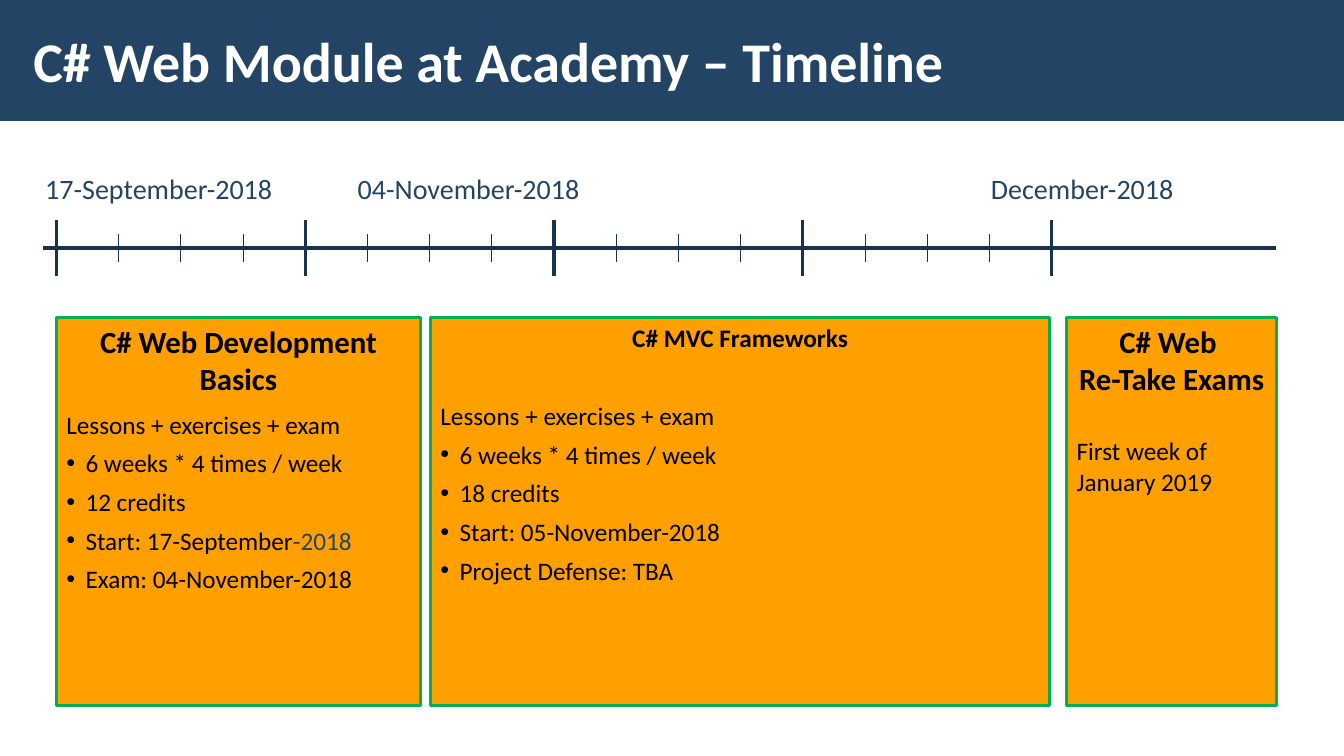
from lxml import etree
from pptx import Presentation
from pptx.dml.color import RGBColor
from pptx.enum.shapes import MSO_CONNECTOR, MSO_SHAPE
from pptx.enum.text import MSO_ANCHOR, MSO_AUTO_SIZE, PP_ALIGN
from pptx.oxml.ns import qn
from pptx.util import Inches, Pt

RECTANGLE = MSO_SHAPE.RECTANGLE
STRAIGHT = MSO_CONNECTOR.STRAIGHT
TOP, MIDDLE = MSO_ANCHOR.TOP, MSO_ANCHOR.MIDDLE
LEFT, CENTER = PP_ALIGN.LEFT, PP_ALIGN.CENTER
GROW = MSO_AUTO_SIZE.SHAPE_TO_FIT_TEXT

FONT = "Calibri"
COLORS = {
    "navy": "234465",
    "axis": "1A334C",
    "card": "FFA000",
    "border": "00B050",
    "black": "000000",
    "white": "FFFFFF",
}
INDENT = Inches(0.19)

DATES = [
    (0.35, 2.48, "17-September-2018"),
    (3.45, 2.43, "04-November-2018"),
    (9.73, 2.04, "December-2018"),
]
CARDS = [
    {
        "left": 0.56, "width": 3.61, "size": 22, "gap": 3,
        "heading": ["C# Web Development Basics"],
        "intro": "Lessons + exercises + exam",
        "bullets": [
            [("6 weeks * 4 times / week", "black")],
            [("12 credits", "black")],
            [("Start: 17-September", "black"), ("-2018", "navy")],
            [("Exam: 04-November-2018", "black")],
        ],
    },
    {
        "left": 4.27, "width": 6.14, "size": 18, "gap": 28,
        "heading": ["C# MVC Frameworks"],
        "intro": "Lessons + exercises + exam",
        "bullets": [
            [("6 weeks * 4 times / week", "black")],
            [("18 credits", "black")],
            [("Start: 05-November-2018", "black")],
            [("Project Defense: TBA", "black")],
        ],
    },
    {
        "left": 10.58, "width": 2.08, "size": 22, "gap": 22,
        "heading": ["C# Web ", "Re-Take Exams"],
        "intro": "First week of January 2019",
        "bullets": [],
    },
]


def color(name):
    return RGBColor.from_string(COLORS[name])


def add_run(paragraph, text, size, color_name, bold=False):
    run = paragraph.add_run()
    run.text = text
    run.font.name = FONT
    run.font.size = Pt(size)
    run.font.bold = bold
    run.font.color.rgb = color(color_name)


def add_bullet(paragraph):
    properties = paragraph._p.get_or_add_pPr()
    properties.set("marL", str(INDENT))
    properties.set("indent", str(-INDENT))
    etree.SubElement(properties, qn("a:buFont")).set("typeface", "Arial")
    etree.SubElement(properties, qn("a:buChar")).set("char", "•")


def add_rectangle(slide, left, top, width, height, fill):
    shape = slide.shapes.add_shape(
        RECTANGLE, Inches(left), Inches(top), Inches(width), Inches(height))
    shape.shadow.inherit = False
    shape.fill.solid()
    shape.fill.fore_color.rgb = color(fill)
    shape.line.fill.background()
    return shape


def add_line(slide, x1, y1, x2, y2, weight):
    line = slide.shapes.add_connector(
        STRAIGHT, Inches(x1), Inches(y1), Inches(x2), Inches(y2))
    line.line.color.rgb = color("axis")
    line.line.width = Pt(weight)
    etree.SubElement(line._element.spPr, qn("a:effectLst"))


def add_title(slide, left, top, width, height):
    add_rectangle(slide, left, top, width, height, "navy")
    box = slide.shapes.add_textbox(
        Inches(left + 0.21), Inches(top + 0.11), Inches(10.39), Inches(0.97))
    frame = box.text_frame
    frame.word_wrap = True
    frame.vertical_anchor = MIDDLE
    frame.margin_left = frame.margin_right = Inches(0.12)
    frame.margin_top = frame.margin_bottom = Inches(0.04)
    add_run(frame.paragraphs[0], "C# Web Module at Academy – Timeline", 40, "white", True)


def add_dates(slide, top, height):
    for left, width, text in DATES:
        box = slide.shapes.add_textbox(
            Inches(left), Inches(top), Inches(width), Inches(height))
        box.text_frame.word_wrap = False
        box.text_frame.auto_size = GROW
        add_run(box.text_frame.paragraphs[0], text, 20, "navy")


def add_timeline(slide, left, middle, width):
    add_line(slide, left, middle, left + width, middle, 2.25)
    first, last, weeks = left + 0.13, left + 10, 16
    for week in range(weeks + 1):
        x = first + week * (last - first) / weeks
        half, weight = (0.28, 2.25) if week % 4 == 0 else (0.14, 0.5)
        add_line(slide, x, middle - half, x, middle + half, weight)


def add_card(slide, card, top, height):
    shape = add_rectangle(slide, card["left"], top, card["width"], height, "card")
    shape.line.color.rgb = color("border")
    shape.line.width = Pt(2)
    frame = shape.text_frame
    frame.word_wrap = True
    frame.vertical_anchor = TOP

    heading = frame.paragraphs[0]
    heading.alignment = CENTER
    heading.space_after = Pt(card["gap"])
    for index, text in enumerate(card["heading"]):
        if index:
            heading.add_line_break()
        add_run(heading, text, card["size"], "black", True)

    for index, runs in enumerate([[(card["intro"], "black")]] + card["bullets"]):
        paragraph = frame.add_paragraph()
        paragraph.alignment = LEFT
        paragraph.space_before = Pt(6)
        if index:
            add_bullet(paragraph)
        for text, color_name in runs:
            add_run(paragraph, text, 18, color_name)


def main():
    presentation = Presentation()
    presentation.slide_width = Inches(13.33)
    presentation.slide_height = Inches(7.5)
    slide = presentation.slides.add_slide(presentation.slide_layouts[6])
    add_title(slide, 0, 0, 13.33, 1.2)
    add_dates(slide, 1.65, 0.44)
    add_timeline(slide, 0.43, 2.46, 12.23)
    for card in CARDS:
        add_card(slide, card, 3.15, 3.85)
    presentation.save("out.pptx")


if __name__ == "__main__":
    main()
